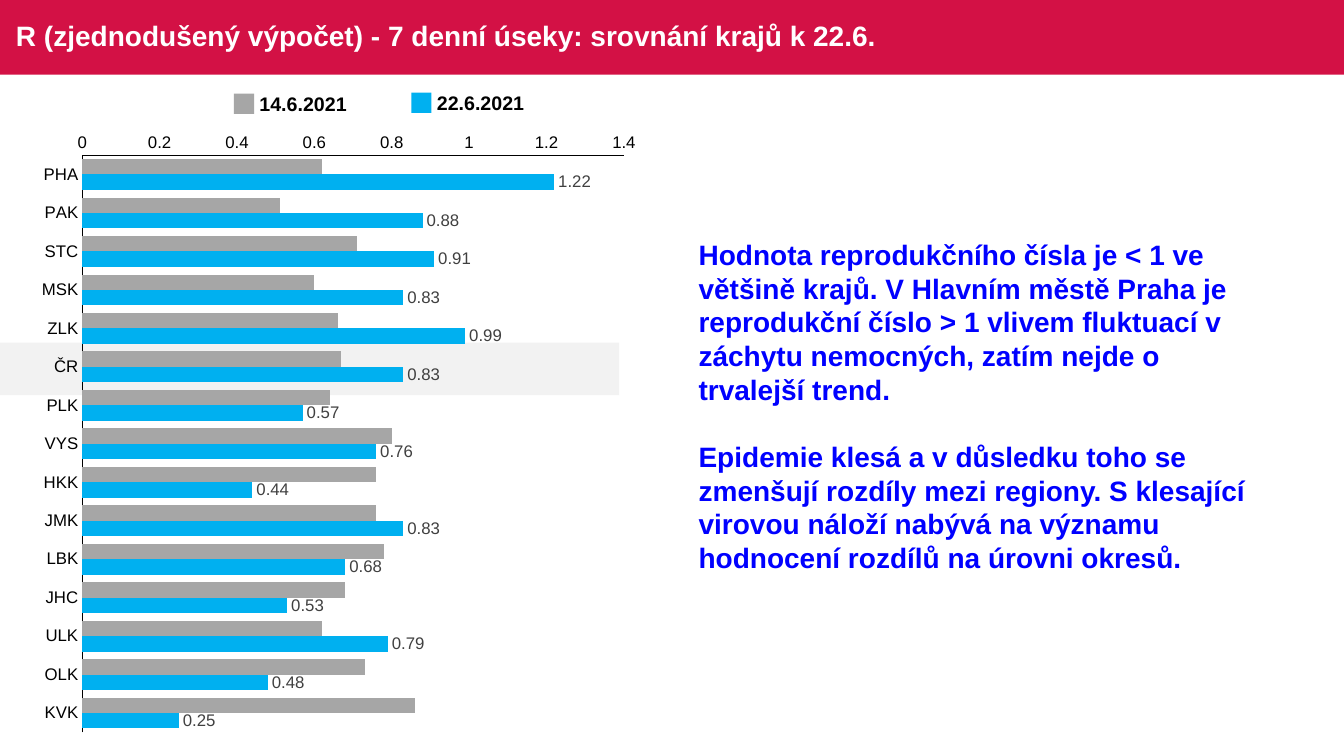
from lxml import etree
from pptx import Presentation
from pptx.chart.data import CategoryChartData
from pptx.dml.color import RGBColor
from pptx.enum.chart import XL_CHART_TYPE, XL_LABEL_POSITION, XL_TICK_MARK
from pptx.enum.shapes import MSO_SHAPE
from pptx.enum.text import MSO_ANCHOR
from pptx.oxml.ns import qn
from pptx.util import Inches, Pt

BAR_CLUSTERED = XL_CHART_TYPE.BAR_CLUSTERED
OUTSIDE_END = XL_LABEL_POSITION.OUTSIDE_END
NO_TICK = XL_TICK_MARK.NONE
RECTANGLE = MSO_SHAPE.RECTANGLE
TOP, MIDDLE = MSO_ANCHOR.TOP, MSO_ANCHOR.MIDDLE

FONT = "Arial"
COLORS = {
    "banner": "D31145",
    "highlight": "F2F2F2",
    "earlier": "A6A6A6",
    "later": "00B0F0",
    "label": "404040",
    "comment": "0000FF",
    "black": "000000",
    "white": "FFFFFF",
}

REGIONS = ["PHA", "PAK", "STC", "MSK", "ZLK", "ČR", "PLK", "VYS",
           "HKK", "JMK", "LBK", "JHC", "ULK", "OLK", "KVK"]
EARLIER_VALUES = [0.62, 0.51, 0.71, 0.6, 0.66, 0.67, 0.64, 0.8,
                  0.76, 0.76, 0.78, 0.68, 0.62, 0.73, 0.86]
LATER_VALUES = [1.22, 0.88, 0.91, 0.83, 0.99, 0.83, 0.57, 0.76,
                0.44, 0.83, 0.68, 0.53, 0.79, 0.48, 0.25]

TITLE = "R (zjednodušený výpočet) - 7 denní úseky: srovnání krajů k 22.6."
COMMENTS = [
    "Hodnota reprodukčního čísla je < 1 ve většině krajů. V Hlavním městě "
    "Praha je reprodukční číslo > 1 vlivem fluktuací v záchytu nemocných, "
    "zatím nejde o trvalejší trend.",
    "Epidemie klesá a v důsledku toho se zmenšují rozdíly mezi regiony. "
    "S klesající virovou náloží nabývá na významu hodnocení rozdílů "
    "na úrovni okresů.",
]


def rgb(name):
    return RGBColor.from_string(COLORS[name])


def format_font(font, size=12, color="black", bold=False):
    font.name = FONT
    font.size = Pt(size)
    font.bold = bold
    font.color.rgb = rgb(color)


def set_inner_plot_layout(chart, **fractions):
    """Fix the plot rectangle, as fractions of the chart frame."""
    plot_area = chart._chartSpace.chart.plotArea
    for old_layout in plot_area.findall(qn("c:layout")):
        plot_area.remove(old_layout)
    layout = etree.Element(qn("c:layout"))
    manual = etree.SubElement(layout, qn("c:manualLayout"))
    settings = {"layoutTarget": "inner", "xMode": "edge", "yMode": "edge", **fractions}
    for tag, value in settings.items():
        etree.SubElement(manual, qn(f"c:{tag}")).set("val", str(value))
    plot_area.insert(0, layout)


class SlideBuilder:
    def __init__(self, slide):
        self.slide = slide

    def rectangle(self, left, top, width, height, color):
        shape = self.slide.shapes.add_shape(
            RECTANGLE, Inches(left), Inches(top), Inches(width), Inches(height))
        shape.shadow.inherit = False
        shape.fill.solid()
        shape.fill.fore_color.rgb = rgb(color)
        shape.line.fill.background()

    def text(self, paragraphs, left, top, width, height, anchor=TOP, wrap=True,
             line_spacing=1.0, gap=0, **font_format):
        box = self.slide.shapes.add_textbox(
            Inches(left), Inches(top), Inches(width), Inches(height))
        frame = box.text_frame
        frame.word_wrap = wrap
        frame.vertical_anchor = anchor
        for index, content in enumerate(paragraphs):
            paragraph = frame.paragraphs[0] if index == 0 else frame.add_paragraph()
            paragraph.line_spacing = line_spacing
            if index:
                paragraph.space_before = Pt(gap)
            run = paragraph.add_run()
            run.text = content
            format_font(run.font, **font_format)

    def legend_entry(self, label, left, top, color):
        self.rectangle(left, top, 0.2, 0.2, color)
        self.text([label], left + 0.155, top - 0.07, 1.07, 0.34,
                  wrap=False, size=14, bold=True)

    def bar_chart(self, left, top, width, height):
        data = CategoryChartData()
        data.categories = REGIONS
        data.add_series("14.6.2021", EARLIER_VALUES)
        data.add_series("22.6.2021", LATER_VALUES)
        chart = self.slide.shapes.add_chart(
            BAR_CLUSTERED, Inches(left), Inches(top), Inches(width), Inches(height),
            data).chart
        chart.has_legend = False
        chart.has_title = False
        format_font(chart.font, size=10)
        set_inner_plot_layout(chart, x=0.084, y=0.055, w=0.875, h=0.925)

        for axis in (chart.category_axis, chart.value_axis):
            axis.major_tick_mark = axis.minor_tick_mark = NO_TICK
            axis.has_major_gridlines = False
            format_font(axis.tick_labels.font)
            axis.format.line.color.rgb = rgb("black")
            axis.format.line.width = Pt(0.75)
        chart.category_axis.reverse_order = True
        chart.value_axis.minimum_scale = 0
        chart.value_axis.maximum_scale = 1.4
        chart.value_axis.major_unit = 0.2

        plot = chart.plots[0]
        plot.gap_width = 50
        plot.overlap = 0
        plot.vary_by_categories = False
        for series, color in zip(plot.series, ("earlier", "later")):
            series.format.fill.solid()
            series.format.fill.fore_color.rgb = rgb(color)
            series.invert_if_negative = False
        labels = plot.series[1].data_labels
        labels.show_value = True
        labels.number_format = "#,##0.00"
        labels.number_format_is_linked = False
        labels.position = OUTSIDE_END
        format_font(labels.font, color="label")


def main():
    presentation = Presentation()
    presentation.slide_width = Inches(13.33)
    presentation.slide_height = Inches(7.5)
    builder = SlideBuilder(presentation.slides.add_slide(presentation.slide_layouts[6]))

    builder.rectangle(0, 0, 13.33, 0.74, "banner")
    builder.rectangle(0, 3.4, 6.14, 0.52, "highlight")
    builder.bar_chart(0.3, 1.2, 6.14, 6.19)
    builder.text([TITLE], 0.06, 0, 12.01, 0.74, anchor=MIDDLE, line_spacing=0.9,
                 size=20, color="white", bold=True)
    builder.text(COMMENTS, 6.83, 2.31, 5.68, 3.47, gap=24,
                 size=20, color="comment", bold=True)
    builder.legend_entry("14.6.2021", 2.32, 0.93, "earlier")
    builder.legend_entry("22.6.2021", 4.08, 0.92, "later")
    presentation.save("out.pptx")


if __name__ == "__main__":
    main()
